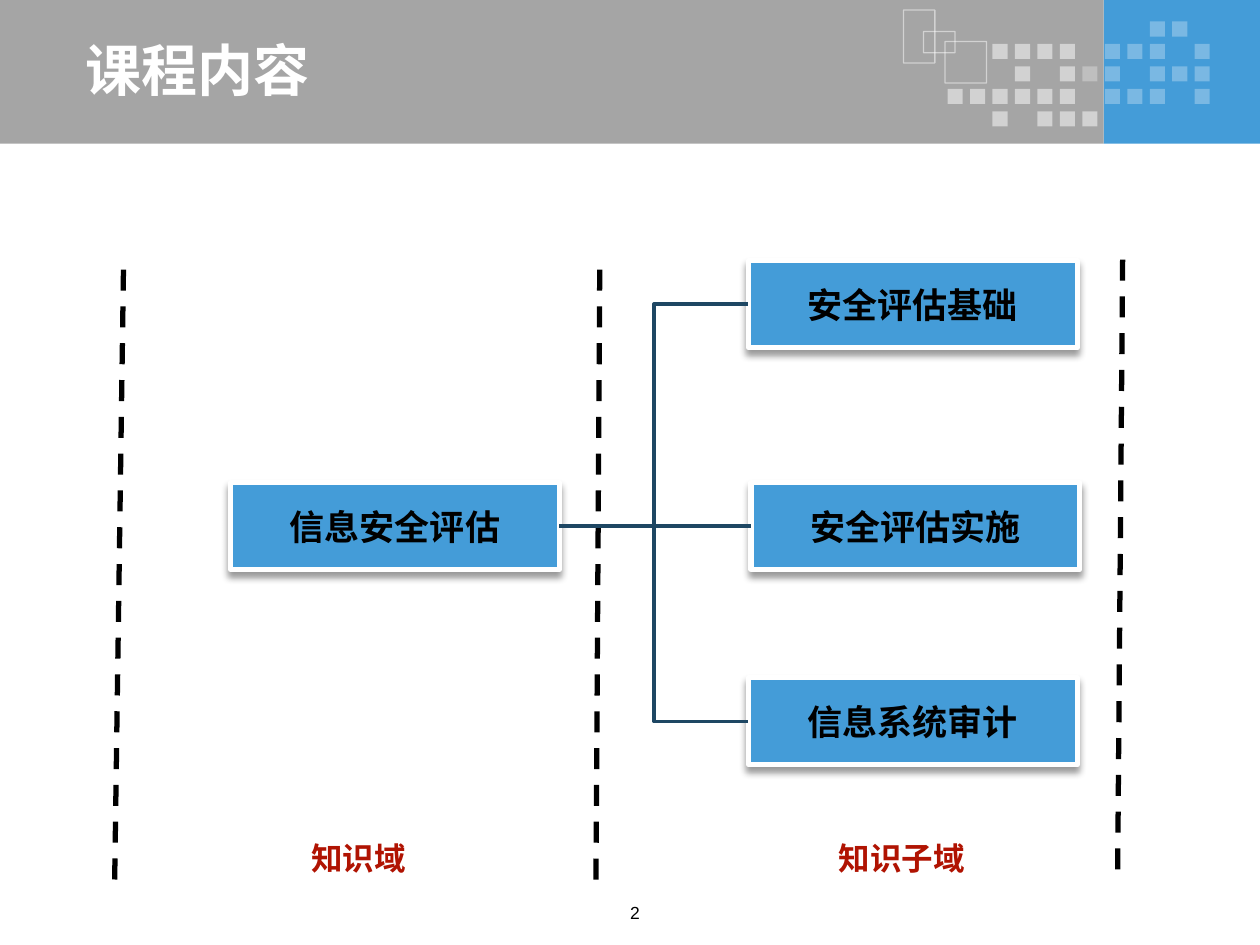
from collections import namedtuple

from lxml import etree
from pptx import Presentation
from pptx import util as u
from pptx.dml.color import RGBColor
from pptx.enum import dml, shapes, text
from pptx.oxml.ns import qn

COLORS = {"blue": "449CD8", "grey": "A5A5A5", "white": "FFFFFF",
          "black": "000000", "navy": "1E4763", "red": "B01302"}
CELL = u.Inches(0.1)  # the slide is a grid of 100 columns by 75 rows
COLUMNS, ROWS = 100, 75
CJK_FONT = "Noto Sans CJK SC"
# One character per square: o strong, - faint, . none
MOSAIC = (".........--.",
          "..oooo.---.-",
          "...o.o--.---",
          "oooooo.---.-",
          "..o.ooo.....")
OPACITY = {"o": 50, "-": 29}

Box = namedtuple("Box", "left top width height")


def within(box, left, top, width, height):
    return Box(box.left + left, box.top + top, width, height)


def cells(*values):
    return [round(value * CELL) for value in values]


def color(name):
    return RGBColor.from_string(COLORS[name])


def set_opacity(fill_format_parent, percent):
    """Make the solid colour below the given element see-through."""
    rgb = next(fill_format_parent.iter(qn("a:srgbClr")))
    etree.SubElement(rgb, qn("a:alpha"), val=str(percent * 1000))


def add_rect(slide, box, fill=None, line=None, line_width=0.75):
    shape = slide.shapes.add_shape(shapes.MSO_SHAPE.RECTANGLE, *cells(*box))
    shape.shadow.inherit = False
    if fill:
        shape.fill.solid()
        shape.fill.fore_color.rgb = color(fill)
    else:
        shape.fill.background()
    if line:
        shape.line.color.rgb = color(line)
        shape.line.width = u.Pt(line_width)
    else:
        shape.line.fill.background()
    return shape


def write(shape, words, size, ink, font="Arial", bold=True,
          align=text.PP_ALIGN.CENTER, anchor=text.MSO_ANCHOR.TOP, wrap=True):
    frame = shape.text_frame
    frame.word_wrap = wrap
    frame.vertical_anchor = anchor
    paragraph = frame.paragraphs[0]
    paragraph.text = words
    paragraph.alignment = align
    paragraph.font.size = u.Pt(size)
    paragraph.font.bold = bold
    paragraph.font.color.rgb = color(ink)
    paragraph.font.name = font
    defaults = paragraph._p.pPr.find(qn("a:defRPr"))
    etree.SubElement(defaults, qn("a:ea"), typeface=CJK_FONT)


def add_text(slide, box, *args, **options):
    shape = slide.shapes.add_textbox(*cells(*box))
    write(shape, *args, **options)
    return shape


def add_line(slide, kind, ends, ink, width):
    line = slide.shapes.add_connector(kind, *cells(*ends))
    line.line.color.rgb = color(ink)
    line.line.width = u.Pt(width)
    etree.SubElement(line._element.spPr, qn("a:effectLst"))
    return line


def add_drop_shadow(shape):
    effects = shape._element.spPr.find(qn("a:effectLst"))
    shadow = etree.SubElement(
        effects, qn("a:outerShdw"), blurRad=str(u.Pt(4)), dist=str(u.Pt(3)),
        dir="5400000", rotWithShape="0")
    rgb = etree.SubElement(shadow, qn("a:srgbClr"), val=COLORS["black"])
    etree.SubElement(rgb, qn("a:alpha"), val="40000")


def add_mosaic(slide, box):
    pitch = box.width / len(MOSAIC[0])
    for row, pattern in enumerate(MOSAIC):
        for column, mark in enumerate(pattern):
            if mark in OPACITY:
                square = add_rect(slide, within(
                    box, column * pitch, row * pitch, 1.2, 1.2), "white")
                set_opacity(square._element.spPr, OPACITY[mark])


def add_header(slide, box, title):
    split = 87.6
    add_rect(slide, within(box, split, 0, box.width - split, box.height), "blue")
    add_rect(slide, within(box, 0, 0, split, box.height), "grey")
    add_mosaic(slide, within(box, 75.2, 1.7, 21.4, 9))
    for frame in ((71.7, 0.8, 2.5, 4.2), (73.3, 2.5, 2.5, 1.7), (75, 3.3, 3.3, 3.3)):
        outline = add_rect(slide, within(box, *frame), line="white")
        set_opacity(outline._element.spPr.find(qn("a:ln")), 50)
    add_text(slide, within(box, 5.8, 2.8, 77.6, 5.3), title, 32, "white",
             font=CJK_FONT, align=text.PP_ALIGN.LEFT,
             anchor=text.MSO_ANCHOR.MIDDLE)


def add_topic(slide, box, words):
    topic = add_rect(slide, box, "blue", "white", 3)
    add_drop_shadow(topic)
    write(topic, words, 20, "black", anchor=text.MSO_ANCHOR.MIDDLE, wrap=False)
    return topic


def add_topic_tree(slide, box, root, branches):
    """Draw a root topic, its (left, top, words) branches and their links."""
    width, height = 26.1, 6.9
    kinds = shapes.MSO_CONNECTOR
    root_top = 18.3
    hub = add_topic(slide, within(box, 9.3, root_top, width, height), root)
    topics = [add_topic(slide, within(box, left, top, width, height), words)
              for left, top, words in branches]
    for topic, (left, top, _) in zip(topics, branches):
        kind = kinds.STRAIGHT if top == root_top else kinds.ELBOW
        start = within(box, 9.3 + width, root_top + height / 2, 0, 0)
        end = within(box, left, top + height / 2, 0, 0)
        link = add_line(slide, kind, (*start[:2], *end[:2]), "navy", 2)
        link.begin_connect(hub, 3)
        link.end_connect(topic, 1)


def add_domains(slide, box):
    """Draw the dashed dividers and the caption of each domain."""
    for top_x, top, bottom_x in ((0.8, 1.4, 0.1), (38.6, 1.4, 38.3),
                                 (80.1, 0.6, 79.7)):
        ends = (box.left + top_x, box.top + top,
                box.left + bottom_x, box.top + box.height)
        divider = add_line(slide, shapes.MSO_CONNECTOR.STRAIGHT, ends, "black", 3)
        divider.line.dash_style = dml.MSO_LINE.DASH
    for left, width, words in ((13.5, 11.9, "知识域"), (53.1, 18.9, "知识子域")):
        caption = add_text(slide, within(box, left, 46.1, width, 4),
                           words, 18, "red")
        caption.text_frame.auto_size = text.MSO_AUTO_SIZE.SHAPE_TO_FIT_TEXT


def main():
    presentation = Presentation()
    presentation.slide_width, presentation.slide_height = cells(COLUMNS, ROWS)
    slide = presentation.slides.add_slide(presentation.slide_layouts[6])
    add_header(slide, Box(0, 0, COLUMNS, 11.4), "课程内容")
    add_text(slide, Box(45.8, 71.1, 9.2, 2.9), "2", 10, "black", bold=False)
    diagram = Box(9, 20, 81, 50)
    add_domains(slide, diagram)
    add_topic_tree(slide, diagram, "信息安全评估", (
        (50.4, 0.7, "安全评估基础"),
        (50.6, 18.3, "安全评估实施"),
        (50.4, 33.8, "信息系统审计")))
    presentation.save("out.pptx")


if __name__ == "__main__":
    main()
